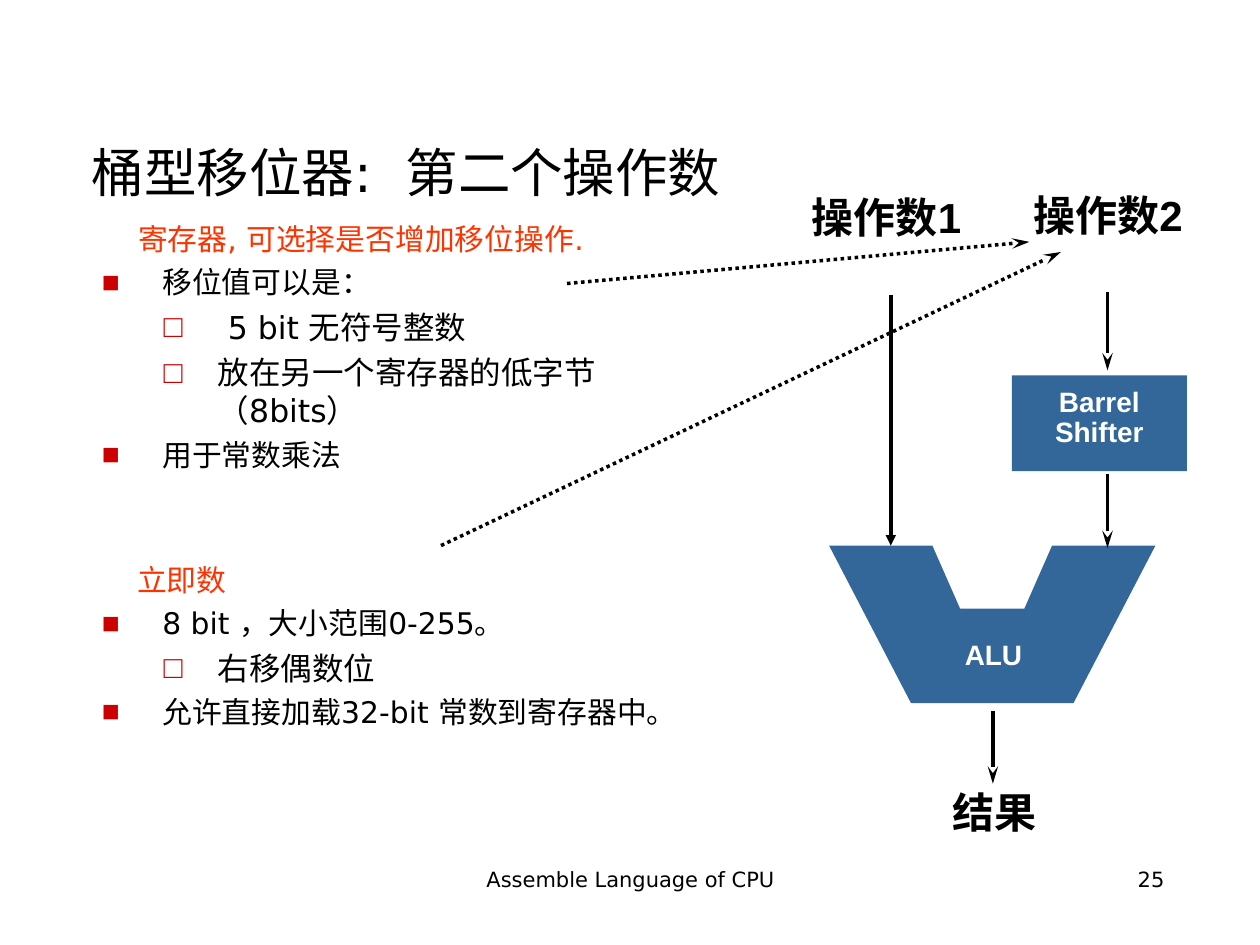
from collections import namedtuple
from dataclasses import dataclass

from lxml.etree import SubElement
from pptx import Presentation
from pptx.dml.color import RGBColor
from pptx.enum.dml import MSO_LINE
from pptx.enum.shapes import MSO_CONNECTOR, MSO_SHAPE
from pptx.enum.text import MSO_ANCHOR, MSO_AUTO_SIZE, PP_ALIGN
from pptx.oxml.ns import qn
from pptx.util import Emu, Pt

PX = 9144  # 100 px to the inch
Box = namedtuple("Box", "left top width height")
Level = namedtuple("Level", "bullet margin hang size space_before")


@dataclass(frozen=True)
class Theme:
    body_font: str = "DejaVu Sans"
    diagram_font: str = "Arial"
    ink: str = "000000"
    light: str = "FFFFFF"
    accent: str = "FF3300"
    bullet: str = "CC0000"
    block: str = "336699"
    title_size: int = 30
    label_size: int = 24
    block_size: int = 16
    footer_size: int = 12
    line_width: int = 2


THEME = Theme()
LEVELS = {
    "heading": Level(None, 0, 0, 17, 4.2),
    "point": Level("■", 99, 48, 17, 4.2),
    "detail": Level("□", 143, 43, 18, 4.5),
    "inset detail": Level("□", 151, 51, 18, 4.5),
}


def px(length):
    return Emu(length * PX)


def emu(box):
    return [px(length) for length in box]


def within(region, left, top, width, height):
    return Box(region.left + left, region.top + top, width, height)


def add_run(paragraph, text, size, color, font=THEME.body_font, bold=False):
    run = paragraph.add_run()
    run.text = text
    run.font.name = font
    run.font.size = Pt(size)
    run.font.bold = bold
    run.font.color.rgb = RGBColor.from_string(color)


def add_text_frame(slide, box, anchor=MSO_ANCHOR.TOP):
    frame = slide.shapes.add_textbox(*emu(box)).text_frame
    frame.word_wrap = True
    frame.vertical_anchor = anchor
    return frame


def write_bold(frame, lines, size, color):
    paragraph = frame.paragraphs[0]
    paragraph.alignment = PP_ALIGN.CENTER
    paragraph.line_spacing = 0.9
    for number, line in enumerate(lines):
        if number:
            paragraph.add_line_break()
        add_run(paragraph, line, size, color, THEME.diagram_font, True)


def add_title(slide, box, text):
    title = slide.shapes.title
    title.left, title.top, title.width, title.height = emu(box)
    frame = title.text_frame
    frame.auto_size = MSO_AUTO_SIZE.NONE
    frame.vertical_anchor = MSO_ANCHOR.BOTTOM
    frame.paragraphs[0].alignment = PP_ALIGN.LEFT
    add_run(frame.paragraphs[0], text, THEME.title_size, THEME.ink)


def set_level(paragraph, level):
    if level.bullet:
        properties = paragraph._p.get_or_add_pPr()
        properties.set("marL", str(px(level.margin)))
        properties.set("indent", str(px(-level.hang)))
        color = SubElement(properties, qn("a:buClr"))
        SubElement(color, qn("a:srgbClr"), val=THEME.bullet)
        SubElement(properties, qn("a:buFont"), typeface=THEME.diagram_font)
        SubElement(properties, qn("a:buChar"), char=level.bullet)


def add_outline(slide, box, heading, items, heading_margin=None):
    """Red heading, centred unless it has a margin, above bulleted items."""
    frame = add_text_frame(slide, box, MSO_ANCHOR.MIDDLE)
    first = frame.paragraphs[0]
    if heading_margin is None:
        first.alignment = PP_ALIGN.CENTER
    else:
        first._p.get_or_add_pPr().set("marL", str(px(heading_margin)))
    add_run(first, heading, LEVELS["heading"].size, THEME.accent)
    for name, text in items:
        level = LEVELS[name]
        paragraph = frame.add_paragraph()
        set_level(paragraph, level)
        paragraph.space_before = Pt(level.space_before)
        add_run(paragraph, text, level.size, THEME.ink)


def add_arrow(slide, region, start, end, head="stealth", length="lg", dash=None):
    points = [px(region[axis] + point[axis]) for point in (start, end) for axis in (0, 1)]
    arrow = slide.shapes.add_connector(MSO_CONNECTOR.STRAIGHT, *points)
    arrow.line.color.rgb = RGBColor.from_string(THEME.ink)
    arrow.line.width = Pt(THEME.line_width)
    if dash:
        arrow.line.dash_style = dash
    SubElement(arrow.line._get_or_add_ln(), qn("a:tailEnd"), type=head, len=length)
    SubElement(arrow._element.spPr, qn("a:effectLst"))


def paint_block(shape):
    shape.shadow.inherit = False
    shape.fill.solid()
    shape.fill.fore_color.rgb = RGBColor.from_string(THEME.block)
    shape.line.fill.background()


def add_barrel_shifter(slide, box):
    shifter = slide.shapes.add_shape(MSO_SHAPE.RECTANGLE, *emu(box))
    paint_block(shifter)
    frame = shifter.text_frame
    frame.vertical_anchor = MSO_ANCHOR.MIDDLE
    frame.margin_bottom = px(12)
    write_bold(frame, ["Barrel", "Shifter"], THEME.block_size, THEME.light)


def add_alu(slide, box):
    """Trapezoid with a notch between its two inputs."""
    corners = [(0, 0), (82, 0), (104, 50), (155, 50), (177, 0),
               (box.width, 0), (194, box.height), (65, box.height)]
    outline = [(box.left + x, box.top + y) for x, y in corners]
    builder = slide.shapes.build_freeform(*outline[0], scale=PX)
    builder.add_line_segments(outline[1:], close=True)
    paint_block(builder.convert_to_shape())
    frame = add_text_frame(slide, within(box, 83, 71, 95, 34))
    write_bold(frame, ["ALU"], THEME.block_size, THEME.light)


def add_data_path(slide, region):
    for text, left, top in [("操作数1", 0, 2), ("操作数2", 176, 0), ("结果", 86, 474)]:
        frame = add_text_frame(slide, within(region, left, top, 159, 46))
        write_bold(frame, [text], THEME.label_size, THEME.ink)
    add_barrel_shifter(slide, within(region, 179, 148, 139, 76))
    add_alu(slide, within(region, 34, 283, 259, 125))
    add_arrow(slide, region, (83, 84), (83, 283), head="triangle", length="med")
    for x, top, bottom in [(255, 82, 144), (255, 226, 285), (164, 414, 472)]:
        add_arrow(slide, region, (x, top), (x, bottom))
    for start, end in [((-174, 75), (193, 42)), ((-274, 283), (218, 50))]:
        add_arrow(slide, region, start, end, dash=MSO_LINE.ROUND_DOT)


def add_footer(slide, box, text, alignment):
    paragraph = add_text_frame(slide, box).paragraphs[0]
    paragraph.alignment = alignment
    add_run(paragraph, text, THEME.footer_size, THEME.ink)


def main():
    deck = Presentation()
    deck.slide_width, deck.slide_height = px(1000), px(750)
    slide = deck.slides.add_slide(deck.slide_layouts[5])
    add_title(slide, Box(63, 33, 875, 133), "桶型移位器:  第二个操作数")
    add_outline(slide, Box(20, 147, 533, 256), "寄存器, 可选择是否增加移位操作.", [
        ("point", "移位值可以是："),
        ("inset detail", "5 bit 无符号整数"),
        ("detail", "放在另一个寄存器的低字节（8bits）"),
        ("point", "用于常数乘法"),
    ])
    add_outline(slide, Box(20, 406, 520, 213), "立即数", [
        ("point", "8 bit ，大小范围0-255。"),
        ("detail", "右移偶数位"),
        ("point", "允许直接加载32-bit 常数到寄存器中。"),
    ], heading_margin=79)
    add_data_path(slide, Box(624, 150, 335, 520))
    add_footer(slide, Box(342, 683, 317, 52), "Assemble Language of CPU", PP_ALIGN.CENTER)
    add_footer(slide, Box(717, 683, 217, 52), "25", PP_ALIGN.RIGHT)
    deck.save("out.pptx")


if __name__ == "__main__":
    main()
